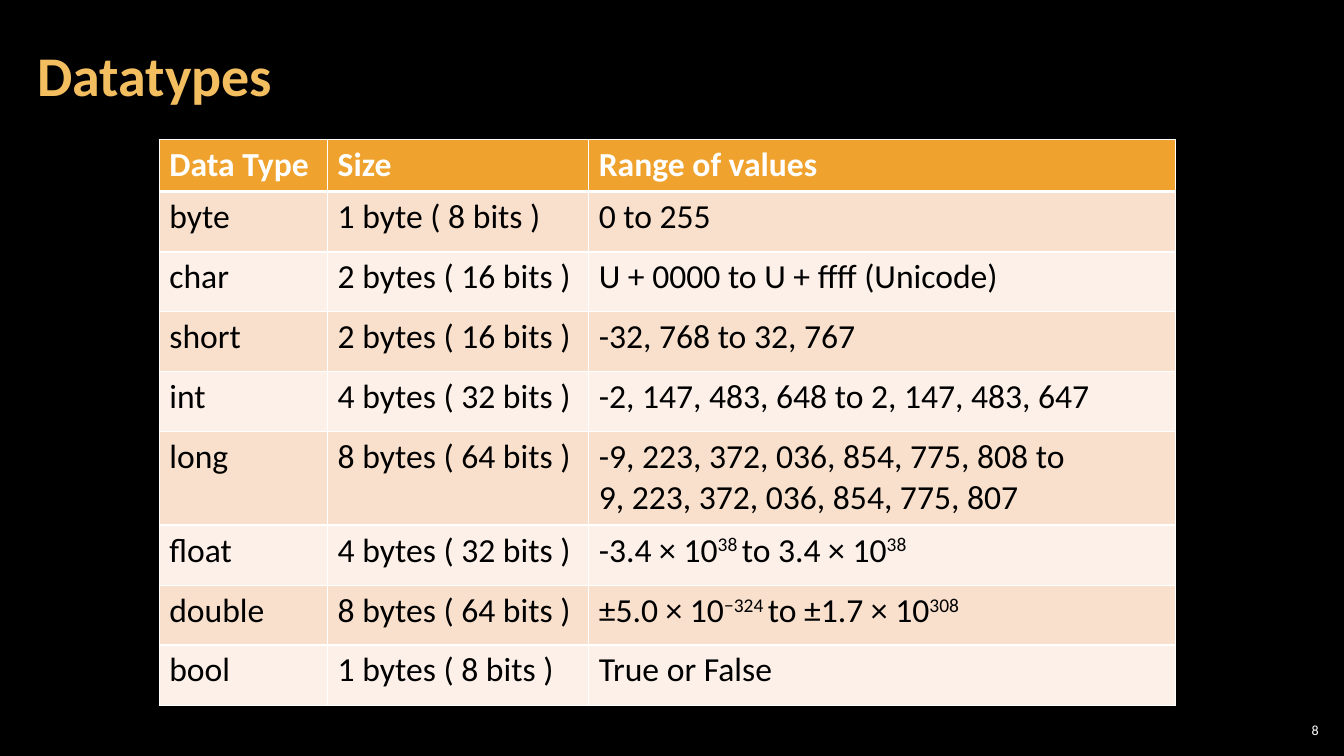
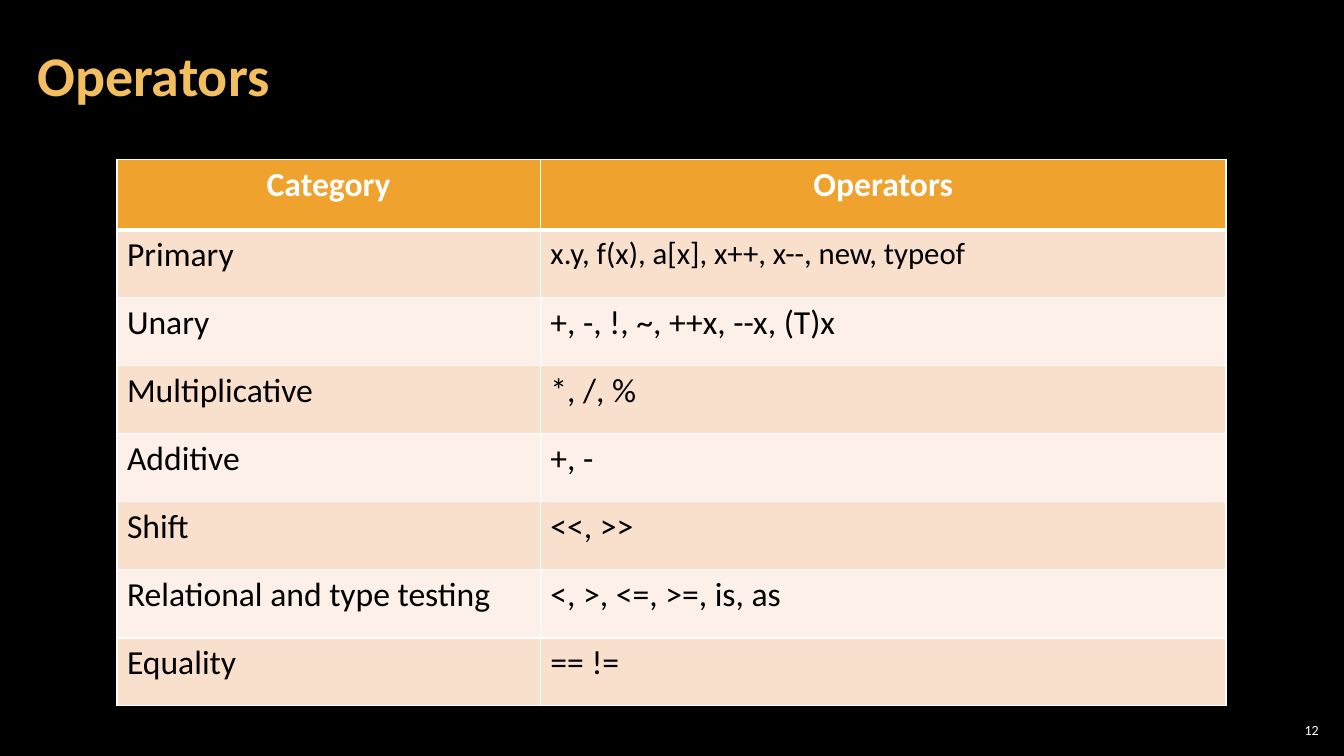
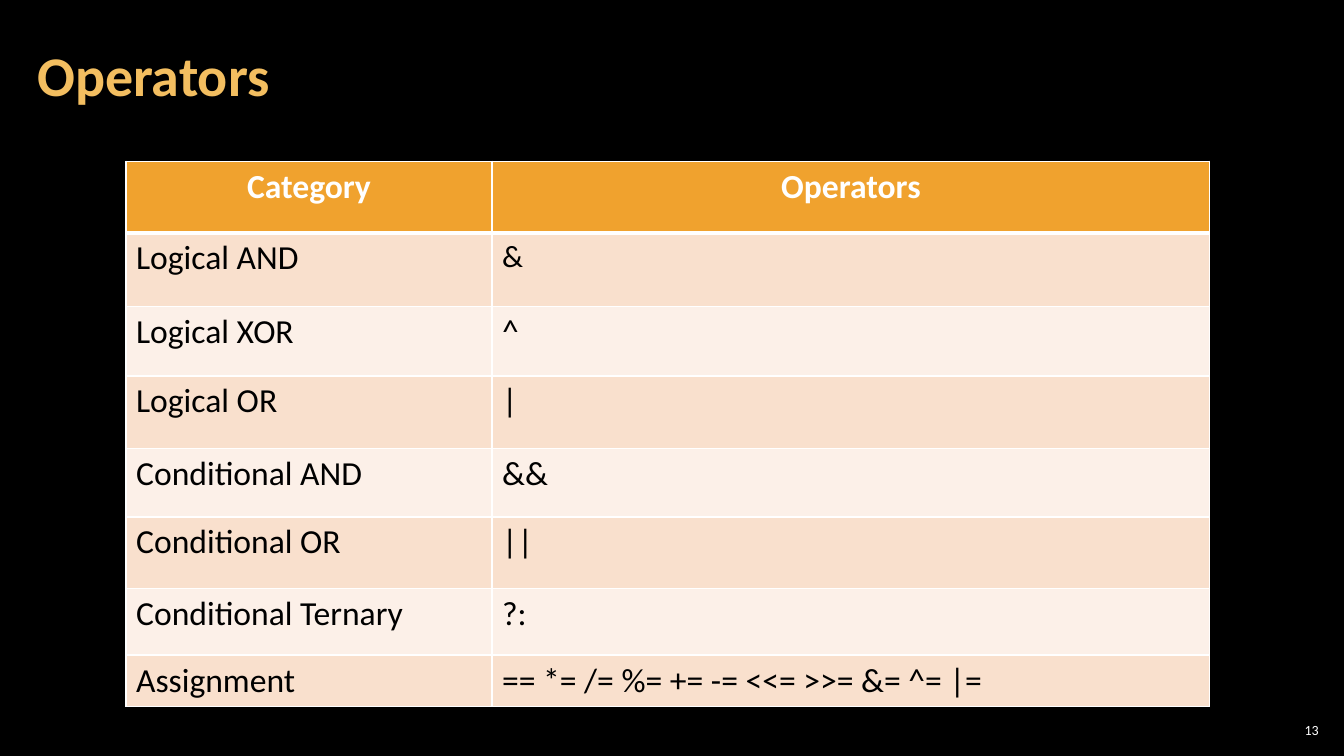
from lxml import etree
from pptx import Presentation
from pptx import util as u
from pptx.dml.color import RGBColor
from pptx.enum import text as t
from pptx.oxml import ns

PX = 9144  # 100 px to the inch
FONT = "Calibri"
COLORS = {
    "back": "000000", "title": "F3BE60", "white": "FFFFFF", "ink": "000000",
    "head": "F0A22E", "odd": "F9E0CD", "even": "FCF0E8",
}
TITLE_BOX = (25, 17, 1047, 121)
PAGE_BOX = (1265, 714, 47, 21)

TYPES = [
    ("Data Type", "Size", "Range of values"),
    ("byte", "1 byte ( 8 bits )", "0 to 255"),
    ("char", "2 bytes ( 16 bits )", "U + 0000 to U + ffff (Unicode)"),
    ("short", "2 bytes ( 16 bits )", "-32, 768 to 32, 767"),
    ("int", "4 bytes ( 32 bits )", "-2, 147, 483, 648 to 2, 147, 483, 647"),
    ("long", "8 bytes ( 64 bits )",
     "-9, 223, 372, 036, 854, 775, 808 to\n9, 223, 372, 036, 854, 775, 807"),
    ("float", "4 bytes ( 32 bits )", "-3.4 × 10{38 }to 3.4 × 10{38}"),
    ("double", "8 bytes ( 64 bits )", "±5.0 × 10{−324 }to ±1.7 × 10{308}"),
    ("bool", "1 bytes ( 8 bits )", "True or False"),
]
MATH = [
    ("Category", "Operators"),
    ("Primary", "x.y, f(x), a[x], x++, x--, new, typeof"),
    ("Unary", "+, -, !, ~, ++x, --x, (T)x"),
    ("Multiplicative", "*, /, %"),
    ("Additive", "+, -"),
    ("Shift", "<<, >>"),
    ("Relational and type testing", "<, >, <=, >=, is, as"),
    ("Equality", "== !="),
]
LOGIC = [
    ("Category", "Operators"),
    ("Logical AND", "&"),
    ("Logical XOR", "^"),
    ("Logical OR", "|"),
    ("Conditional AND", "&&"),
    ("Conditional OR", "||"),
    ("Conditional Ternary", "?:"),
    ("Assignment", "== *= /= %= += -= <<= >>= &= ^= |="),
]


def rgb(name):
    return RGBColor.from_string(COLORS[name])


def scale(box):
    return [n * PX for n in box]


def write(frame, words, size=24, color="ink", bold=False, align="LEFT", space=None):
    """Fill a text frame; braces enclose superscripts and newlines part paragraphs."""
    for i, line in enumerate(words.split("\n")):
        para = frame.add_paragraph() if i else frame.paragraphs[0]
        para.alignment = getattr(t.PP_ALIGN, align)
        para.line_spacing = space
        for j, part in enumerate(line.replace("}", "{").split("{")):
            if not part:
                continue
            run = para.add_run()
            run.text = part
            font = run.font
            font.name, font.size, font.bold = FONT, u.Pt(size), bold
            font.color.rgb = rgb(color)
            if j % 2:
                font._element.set("baseline", "30000")


def inset(frame, side, edge):
    frame.margin_left = frame.margin_right = side * PX
    frame.margin_top = frame.margin_bottom = edge * PX
    frame.vertical_anchor = t.MSO_ANCHOR.MIDDLE
    frame.auto_size = t.MSO_AUTO_SIZE.NONE
    frame.word_wrap = True


def border(cell, **widths):
    """Draw white cell edges; widths in points, in the order L, R, T, B."""
    props = cell._tc.get_or_add_tcPr()
    for side, width in widths.items():
        line = etree.SubElement(props, ns.qn("a:ln" + side), w=str(u.Pt(width)))
        fill = etree.SubElement(line, ns.qn("a:solidFill"))
        etree.SubElement(fill, ns.qn("a:srgbClr"), val=COLORS["white"])


def grid(slide, rows, spot, cols, highs, center=False, small=()):
    """Place a table with its top left at spot; small lists the 22 pt cells."""
    box = scale((*spot, sum(cols), sum(highs)))
    table = slide.shapes.add_table(len(rows), len(cols), *box).table
    table.horz_banding = False
    for col, wide in zip(table.columns, cols):
        col.width = wide * PX
    for r, (row, high) in enumerate(zip(rows, highs)):
        table.rows[r].height = high * PX
        head = r == 0
        for c, words in enumerate(row):
            cell = table.cell(r, c)
            border(cell, L=1, R=1, T=3 if r == 1 else 1, B=3 if head else 1)
            cell.fill.solid()
            cell.fill.fore_color.rgb = rgb("head" if head else "odd" if r % 2 else "even")
            write(cell.text_frame, words, size=22 if (r, c) in small else 24,
                  color="white" if head else "ink", bold=head,
                  align="CENTER" if head and center else "LEFT")


def page(deck, title, number):
    """Add a slide with its title and page number."""
    slide = deck.slides.add_slide(deck.slide_layouts[5])
    head = slide.shapes.title
    head.left, head.top, head.width, head.height = scale(TITLE_BOX)
    inset(head.text_frame, 12, 4)
    write(head.text_frame, title, size=40, color="title", bold=True, space=0.9)
    foot = slide.shapes.add_textbox(*scale(PAGE_BOX)).text_frame
    inset(foot, 4, 4)
    write(foot, str(number), size=10, color="white", align="RIGHT")
    return slide


def main():
    deck = Presentation()
    deck.slide_width, deck.slide_height = scale((1333, 750))
    back = deck.slide_master.background.fill
    back.solid()
    back.fore_color.rgb = rgb("back")

    grid(page(deck, "Datatypes", 8), TYPES, (158, 138), (167, 259, 582),
         [52, 60, 59, 60, 59, 93, 60, 59, 60])
    grid(page(deck, "Operators", 12), MATH, (116, 158), (420, 680),
         [70, 67, 68, 67, 68, 67, 68, 67], center=True, small=[(1, 1)])
    grid(page(deck, "Operators", 13), LOGIC, (125, 160), (363, 712),
         [71, 73, 69, 72, 68, 71, 66, 50], center=True, small=[(1, 1)])
    deck.save("out.pptx")


if __name__ == "__main__":
    main()
